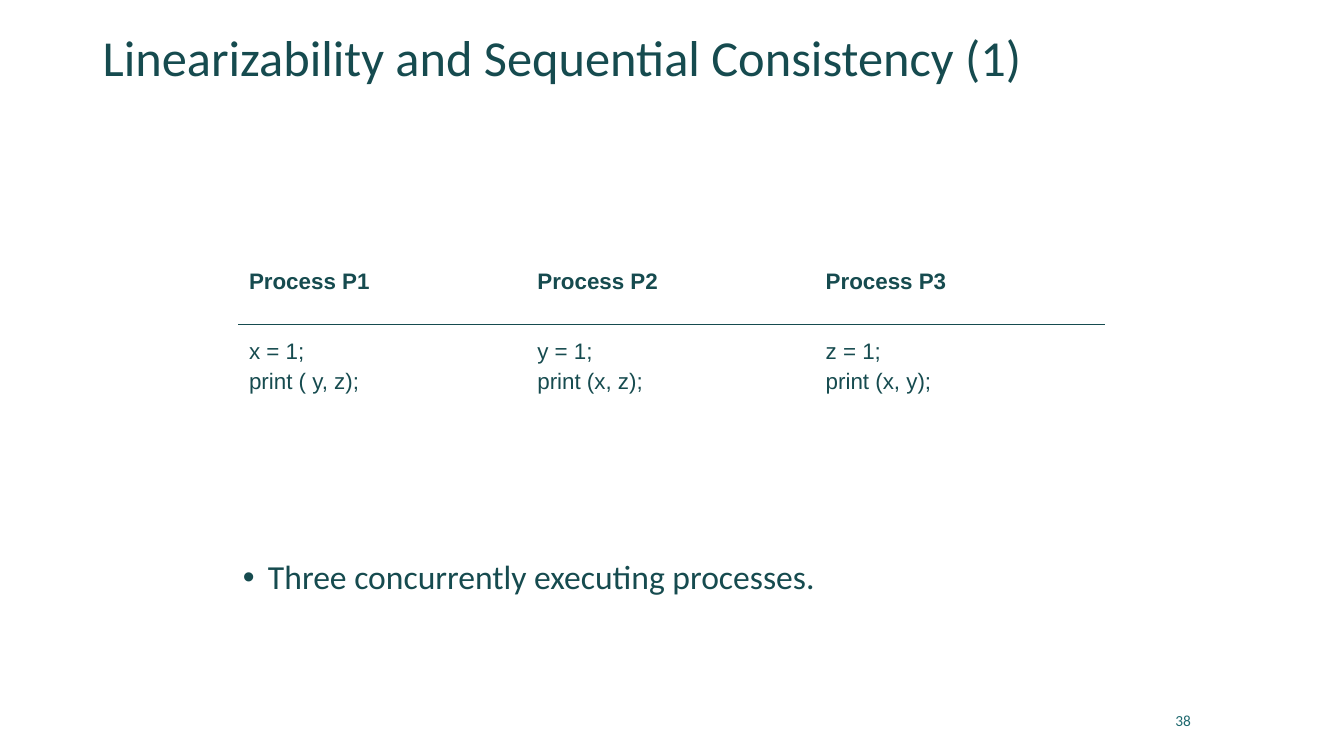
import pptx
import pptx.dml.color
import pptx.enum.text
import pptx.oxml
import pptx.oxml.ns
import pptx.util

WIDTH, HEIGHT = 13.33, 7.5
COLORS = {"ink": "164B4F", "number": "1F696F"}
ALIGN = pptx.enum.text.PP_ALIGN
ANCHOR = pptx.enum.text.MSO_ANCHOR
PROCESSES = [
    ("Process P1", "x = 1;\nprint ( y, z);"),
    ("Process P2", "y = 1;\nprint (x, z);"),
    ("Process P3", "z = 1;\nprint (x, y);"),
]


def inches(*lengths):
    return [pptx.util.Inches(v) for v in lengths]


def write(tf, text, *, size, font="Calibri", color="ink", bold=False,
          align=ALIGN.LEFT, line=1.0, before=0, bullet=None):
    """Put each line of text in its own paragraph of the frame."""
    for i, words in enumerate(text.split("\n")):
        p = tf.add_paragraph() if i else tf.paragraphs[0]
        p.alignment = align
        p.line_spacing = line
        p.space_before = pptx.util.Pt(before)
        r = p.add_run()
        r.text = words
        r.font.name = font
        r.font.size = pptx.util.Pt(size)
        r.font.bold = bold
        r.font.color.rgb = pptx.dml.color.RGBColor.from_string(COLORS[color])
        if bullet:
            add_bullet(p, bullet)


def add_bullet(p, char, indent=0.25):
    pPr = p._p.get_or_add_pPr()
    step = pptx.util.Inches(indent)
    pPr.set("marL", str(step))
    pPr.set("indent", str(-step))
    ns = pptx.oxml.ns.nsdecls("a")
    pPr.append(pptx.oxml.parse_xml(f'<a:buFont {ns} typeface="Arial"/>'))
    pPr.append(pptx.oxml.parse_xml(f'<a:buChar {ns} char="{char}"/>'))


def add_text(s, text, box, anchor=ANCHOR.TOP, **style):
    tf = s.shapes.add_textbox(*inches(*box)).text_frame
    tf.word_wrap = True
    tf.vertical_anchor = anchor
    write(tf, text, **style)


def add_rule(cell, side):
    """Draw a thin line on one side of a cell: T or B."""
    ns = pptx.oxml.ns.nsdecls("a")
    cell._tc.get_or_add_tcPr().insert(0, pptx.oxml.parse_xml(
        f'<a:ln{side} {ns} w="12700"><a:solidFill>'
        f'<a:srgbClr val="{COLORS["ink"]}"/></a:solidFill></a:ln{side}>'))


def add_process_table(s, left, top, col, row):
    n = len(PROCESSES)
    table = s.shapes.add_table(
        2, n, *inches(left, top, n * col, 2 * row)).table
    table.first_row = table.horz_banding = False
    for c, entries in enumerate(PROCESSES):
        for i, text in enumerate(entries):
            cell = table.cell(i, c)
            cell.fill.background()
            cell.vertical_anchor = ANCHOR.MIDDLE
            write(cell.text_frame, text, size=16, font="Arial",
                  bold=i == 0, before=3.2)
            add_rule(cell, "BT"[i])


def main():
    prs = pptx.Presentation()
    prs.slide_width, prs.slide_height = inches(WIDTH, HEIGHT)
    s = prs.slides.add_slide(prs.slide_layouts[6])
    add_text(s, "Linearizability and Sequential Consistency (1)",
             (0.92, 0, WIDTH - 0.92, 0.92), ANCHOR.BOTTOM, size=36, line=0.9)
    add_process_table(s, left=2.37, top=2.38, col=2.86, row=0.84)
    add_text(s, "Three concurrently executing processes.",
             (2.31, 5.51, 9.03, 0.92), size=24, line=0.9, before=16, bullet="•")
    add_text(s, "38", (8.8, 6.95, 3.11, 0.4), ANCHOR.MIDDLE,
             size=11, color="number", align=ALIGN.RIGHT)
    prs.save("out.pptx")


if __name__ == "__main__":
    main()
